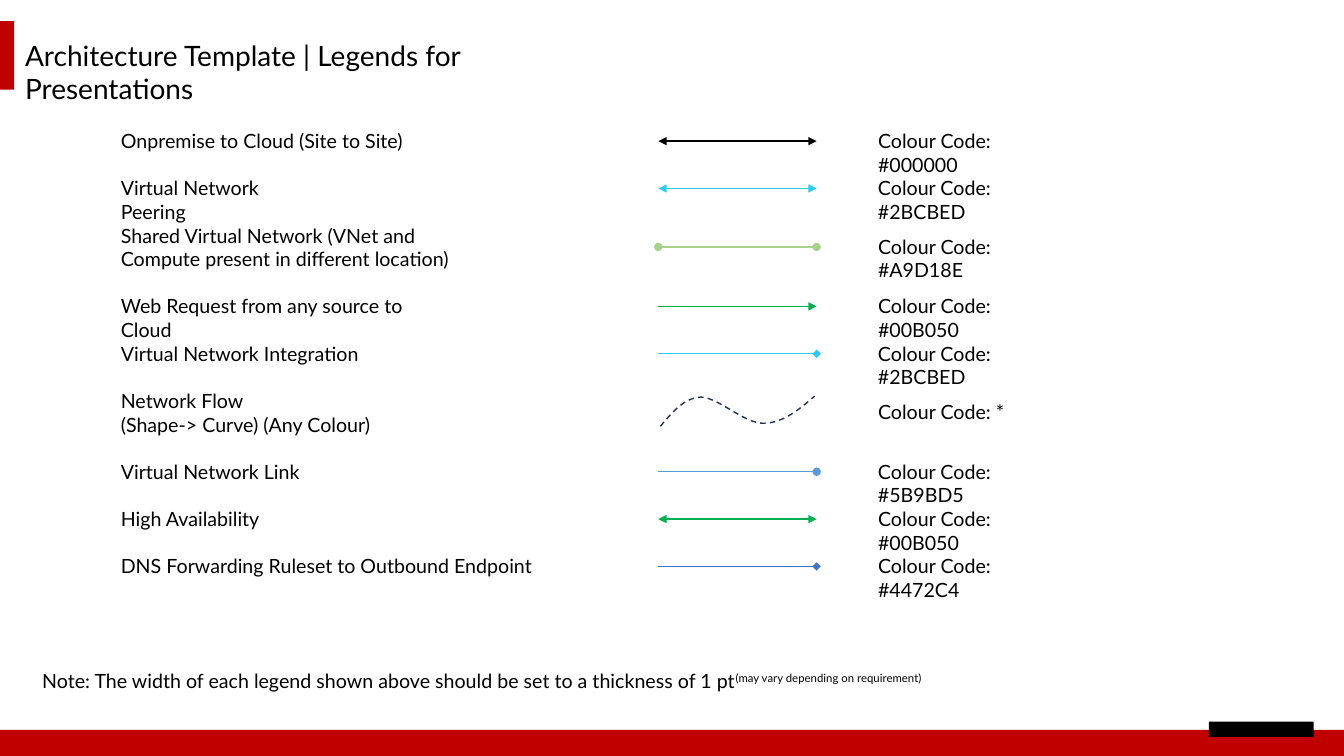
from dataclasses import dataclass

from lxml import etree
from pptx import Presentation
from pptx.dml.color import RGBColor
from pptx.enum.dml import MSO_LINE_DASH_STYLE
from pptx.enum.shapes import MSO_CONNECTOR_TYPE, MSO_SHAPE
from pptx.enum.text import MSO_AUTO_SIZE
from pptx.oxml.ns import qn
from pptx.util import Pt

PX = 9144  # 100 px to the inch
STRAIGHT = MSO_CONNECTOR_TYPE.STRAIGHT
ELBOW = MSO_CONNECTOR_TYPE.ELBOW
RECTANGLE = MSO_SHAPE.RECTANGLE
DASH = MSO_LINE_DASH_STYLE.DASH
FIT_TEXT = MSO_AUTO_SIZE.SHAPE_TO_FIT_TEXT

FONT = "Lato"
COLOURS = {
    "black": "000000",
    "red": "C00000",
    "cyan": "2BCBED",
    "light green": "A9D18E",
    "green": "00B050",
    "navy": "1E3256",
    "light blue": "5B9BD5",
    "blue": "4472C4",
}

LABEL_LEFT, CODE_LEFT = 110, 861
LINE_LEFT, LINE_RIGHT = 653, 810
FIRST_ROW_TOP = 123
ROW_PITCH = {1: 47, 2: 70}
TEXT_HEIGHT = {1: 34, 2: 57}


@dataclass
class Bar:
    left: int
    top: int
    width: int
    height: int
    colour: str


@dataclass
class Legend:
    label: str
    label_width: int
    colour: str = ""  # an empty colour marks the curve, which takes any colour
    left_end: str = ""
    right_end: str = ""
    kind: MSO_CONNECTOR_TYPE = STRAIGHT
    code_width: int = 209
    label_lines: int = 1


BARS = [
    Bar(0, 724, 1333, 26, "red"),
    Bar(1199, 716, 104, 15, "black"),
    Bar(0, 21, 14, 68, "red"),
]

LEGENDS = [
    Legend("Onpremise to Cloud (Site to Site)", 312, "black", "triangle", "triangle"),
    Legend("Virtual Network Peering", 225, "cyan", "triangle", "triangle", code_width=213),
    Legend("Shared Virtual Network (VNet and Compute present in different location)", 378,
           "light green", "oval", "oval", ELBOW, label_lines=2),
    Legend("Web Request from any source to Cloud", 345, "green", "", "triangle", ELBOW),
    Legend("Virtual Network Integration", 306, "cyan", "", "diamond", code_width=213),
    Legend("Network Flow\n(Shape-> Curve) (Any Colour)", 306, label_lines=2),
    Legend("Virtual Network Link", 306, "light blue", "", "oval", code_width=213),
    Legend("High Availability", 306, "green", "triangle", "triangle", ELBOW),
    Legend("DNS Forwarding Ruleset to Outbound Endpoint", 462, "blue", "", "diamond", ELBOW),
]

# Start point, then two control points and an end point for each segment,
# with heights measured from the middle of the row
CURVE_POINTS = [
    (655, 14),
    (667, 0), (678, -14), (695, -15),
    (712, -15), (738, 11), (757, 11),
    (776, 11), (792, -2), (808, -16),
]


def rgb(name: str) -> RGBColor:
    return RGBColor.from_string(COLOURS[name])


def add_text(slide, text: str, *, left: int, top: int, width: int, height: int = 34,
             size: int = 14, superscript: str = "") -> None:
    box = slide.shapes.add_textbox(left * PX, top * PX, width * PX, height * PX)
    frame = box.text_frame
    frame.word_wrap = True
    frame.auto_size = FIT_TEXT
    frame.text = text
    if superscript:
        raised = frame.paragraphs[-1].add_run()
        raised.text = superscript
        raised.font._element.set("baseline", "30000")
    for paragraph in frame.paragraphs:
        for run in paragraph.runs:
            run.font.name = FONT
            run.font.size = Pt(size)
            run.font.color.rgb = rgb("black")


def add_bar(slide, bar: Bar) -> None:
    shape = slide.shapes.add_shape(
        RECTANGLE, bar.left * PX, bar.top * PX, bar.width * PX, bar.height * PX)
    shape.shadow.inherit = False
    shape.fill.solid()
    shape.fill.fore_color.rgb = rgb(bar.colour)
    shape.line.fill.background()


def add_legend_line(slide, legend: Legend, middle: int) -> None:
    start, end = LINE_LEFT, LINE_RIGHT
    start_mark, end_mark = legend.left_end, legend.right_end
    if legend.kind == ELBOW:  # elbows run from right to left
        start, end = end, start
        start_mark, end_mark = end_mark, start_mark
    connector = slide.shapes.add_connector(
        legend.kind, start * PX, middle * PX, end * PX, middle * PX)
    connector.line.color.rgb = rgb(legend.colour)
    connector.line.width = Pt(1)
    outline = connector.line._get_or_add_ln()
    for tag, mark in (("a:headEnd", start_mark), ("a:tailEnd", end_mark)):
        if mark:
            etree.SubElement(outline, qn(tag), type=mark)
    etree.SubElement(connector.element.spPr, qn("a:effectLst"))


def add_flow_curve(slide, middle: int) -> None:
    points = [(x, middle + offset) for x, offset in CURVE_POINTS]
    builder = slide.shapes.build_freeform(*points[0], scale=PX)
    builder.add_line_segments(points[1:], close=False)
    shape = builder.convert_to_shape()
    shape.shadow.inherit = False
    shape.fill.background()
    shape.line.color.rgb = rgb("navy")
    shape.line.width = Pt(1)
    shape.line.dash_style = DASH
    # Join every three straight segments into one Bézier segment
    segments = shape.element.findall(".//" + qn("a:lnTo"))
    for first, second, third in zip(segments[::3], segments[1::3], segments[2::3]):
        bezier = etree.SubElement(first.getparent(), qn("a:cubicBezTo"))
        for segment in (first, second, third):
            bezier.append(segment[0])
            segment.getparent().remove(segment)


def add_legend(slide, legend: Legend, top: int) -> None:
    height = TEXT_HEIGHT[legend.label_lines]
    code_top = top + (height - TEXT_HEIGHT[1]) // 2
    middle = code_top + TEXT_HEIGHT[1] // 2
    add_text(slide, legend.label, left=LABEL_LEFT, top=top,
             width=legend.label_width, height=height)
    if legend.colour:
        add_legend_line(slide, legend, middle)
        code = "#" + COLOURS[legend.colour]
    else:
        add_flow_curve(slide, middle)
        code = "*"
    add_text(slide, f"Colour Code: {code}", left=CODE_LEFT, top=code_top,
             width=legend.code_width)


def main() -> None:
    presentation = Presentation()
    presentation.slide_width = 1333 * PX
    presentation.slide_height = 750 * PX
    slide = presentation.slides.add_slide(presentation.slide_layouts[6])

    # Frame and title
    for bar in BARS:
        add_bar(slide, bar)
    add_text(slide, "Architecture Template | Legends for Presentations",
             left=15, top=33, width=578, height=44, size=20)

    # Legend rows
    top = FIRST_ROW_TOP
    for legend in LEGENDS:
        add_legend(slide, legend, top)
        top += ROW_PITCH[legend.label_lines]

    # Note
    add_text(slide, "Note: The width of each legend shown above should be set to a thickness of 1 pt",
             left=32, top=659, width=1280, superscript="(may vary depending on requirement)")

    presentation.save("out.pptx")


if __name__ == "__main__":
    main()
